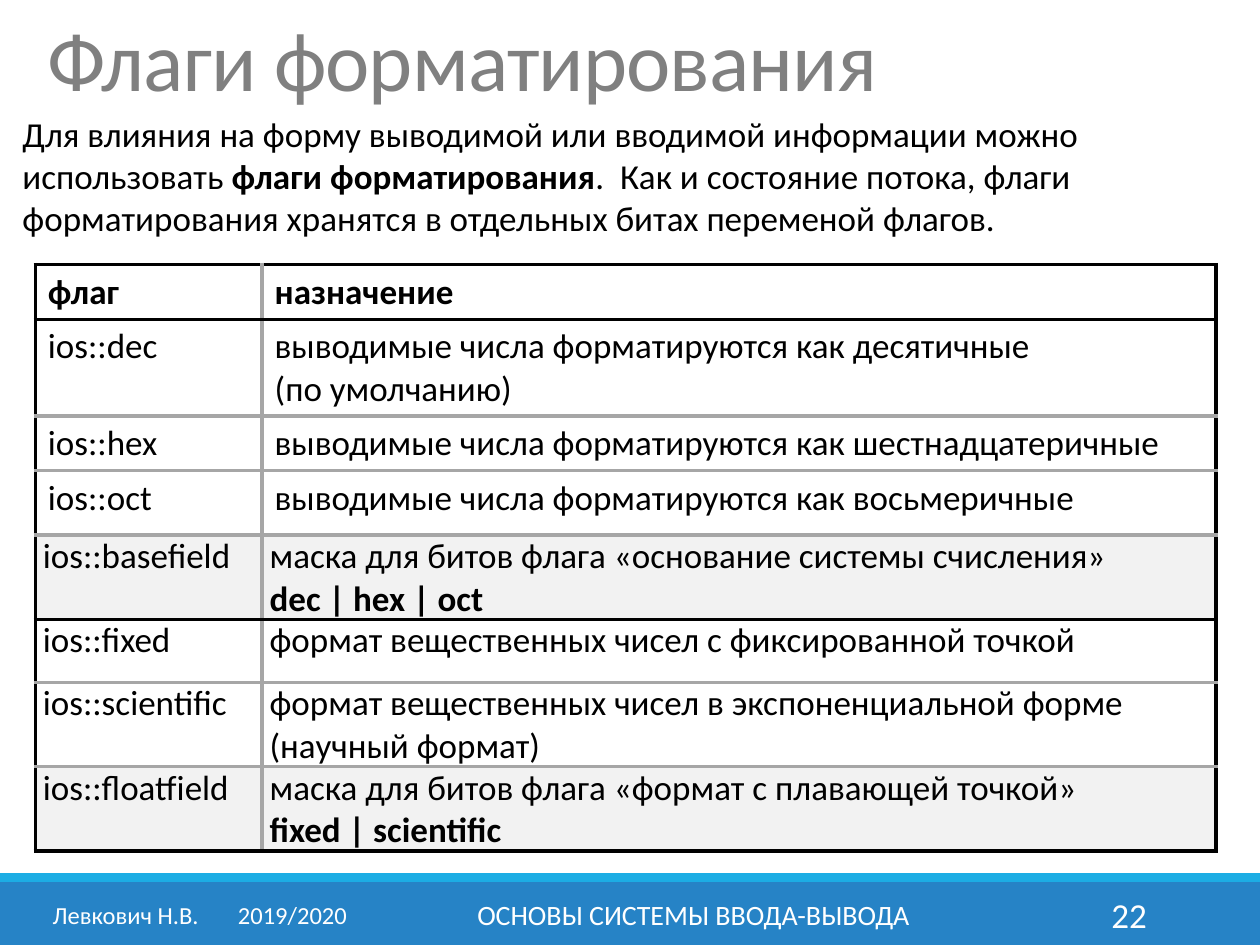
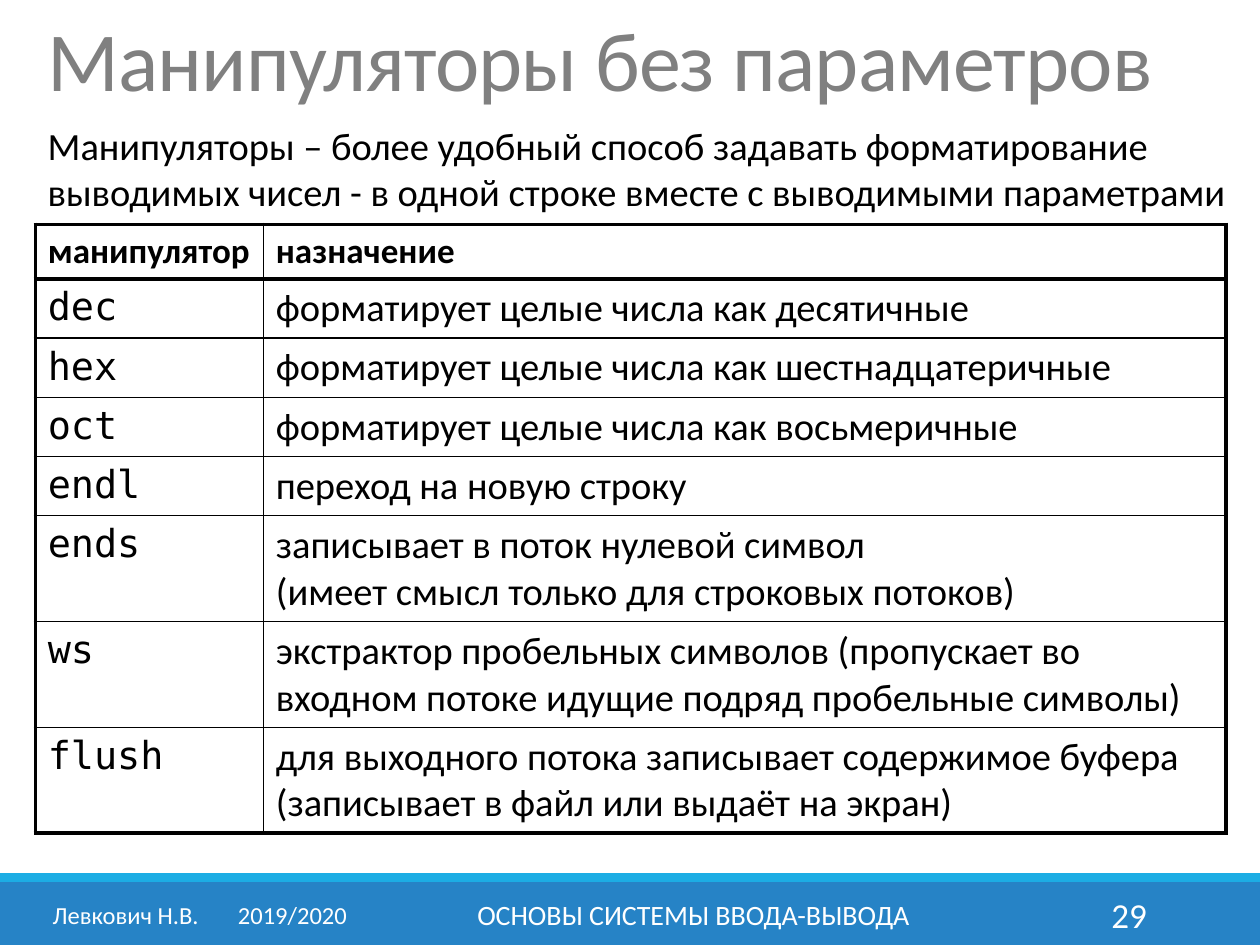
import pptx
import pptx.util
import pptx.dml.color
import pptx.enum.shapes
import pptx.enum.text
import pptx.oxml
import pptx.oxml.ns
from lxml import etree

Inches, Pt = pptx.util.Inches, pptx.util.Pt
RGBColor = pptx.dml.color.RGBColor
ALIGN = pptx.enum.text.PP_ALIGN
ANCHOR = pptx.enum.text.MSO_ANCHOR

BLACK = RGBColor(0x00, 0x00, 0x00)
WHITE = RGBColor(0xFF, 0xFF, 0xFF)
TITLE_GREY = RGBColor(0x80, 0x80, 0x80)
RULE_GREY = RGBColor(0xA6, 0xA6, 0xA6)
MASK_GREY = RGBColor(0xF2, 0xF2, 0xF2)
BAND_BLUE = RGBColor(0x26, 0x83, 0xC6)
STRIPE_BLUE = RGBColor(0x1C, 0xAD, 0xE4)

SANS, MONO = "Calibri", "DejaVu Sans Mono"
WIDTH, HEIGHT = 10, 7.5
BAND_HEIGHT, STRIPE_HEIGHT = 0.5, 0.07
FOOTER_TOP, FOOTER_HEIGHT = 7.06, 0.4
HEAVY = (BLACK, 2.25)
ROOMY, TIGHT = (0.1, 0.05), (0.06, 0)

AUTHOR = "Левкович Н.В.\t2019/2020"
COURSE = "ОСНОВЫ СИСТЕМЫ ВВОДА-ВЫВОДА"

FLAGS = {
    "title": "Флаги форматирования", "title_box": (0.28, 0.13, 8.05, 0.79),
    "number": "22",
    "intro": "Для влияния на форму выводимой или вводимой информации можно "
             "использовать *флаги форматирования*.  Как и состояние потока, "
             "флаги форматирования хранятся в отдельных битах переменой флагов.",
    "intro_box": (0.08, 0.84, 9.65, 1.11), "intro_size": 20,
    "corner": (0.28, 2.1), "columns": (1.8, 7.57),
    "rows": [
        ("*флаг*", "*назначение*", 0.43),
        ("ios::dec", "выводимые числа форматируются как десятичные\n(по умолчанию)", 0.76),
        ("ios::hex", "выводимые числа форматируются как шестнадцатеричные", 0.43),
        ("ios::oct", "выводимые числа форматируются как восьмеричные", 0.51),
        ("ios::basefield", "маска для битов флага «основание системы счисления»\n"
                           "*dec | hex | oct*", 0.67),
        ("ios::fixed", "формат вещественных чисел с фиксированной точкой", 0.5),
        ("ios::scientific", "формат вещественных чисел в экспоненциальной форме "
                            "(научный формат)", 0.67),
        ("ios::floatfield", "маска для битов флага «формат с плавающей точкой»\n"
                            "*fixed | scientific*", 0.67),
    ],
    "size": 20, "term_font": SANS, "term_align": ALIGN.LEFT,
    "inner_rule": (RULE_GREY, 2.25), "heavy_below": {0, 4, 7},
    "shaded": {4, 7}, "tight_from": 4,
}
MANIPULATORS = {
    "title": "Манипуляторы без параметров", "title_box": (0.28, 0.13, 9.09, 0.87),
    "number": "29",
    "intro": "Манипуляторы – более удобный способ задавать форматирование "
             "выводимых чисел - в одной строке вместе с выводимыми параметрами",
    "intro_box": (0.28, 0.92, 9.61, 0.84), "intro_size": 22,
    "corner": (0.28, 1.78), "columns": (1.81, 7.64),
    "rows": [
        ("*манипулятор*", "*назначение*", 0.43),
        ("dec", "форматирует целые числа как десятичные", 0.47),
        ("hex", "форматирует целые числа как шестнадцатеричные", 0.47),
        ("oct", "форматирует целые числа как восьмеричные", 0.47),
        ("endl", "переход на новую строку", 0.47),
        ("ends", "записывает в поток нулевой символ\n"
                 "(имеет смысл только для строковых потоков)", 0.84),
        ("ws", "экстрактор пробельных символов (пропускает во входном потоке "
               "идущие подряд пробельные символы)", 0.84),
        ("flush", "для выходного потока записывает содержимое буфера "
                  "(записывает в файл или выдаёт на экран)", 0.84),
    ],
    "size": 22, "term_font": MONO, "term_align": ALIGN.JUSTIFY,
    "inner_rule": (BLACK, 1), "heavy_below": {0, 7},
    "shaded": set(), "tight_from": 8,
}


def apply(target, formats):
    for key, value in formats.items():
        setattr(target, key, value)


def write(paragraph, text, size, color=BLACK, font=SANS, spacing=None):
    for index, part in enumerate(text.split("*")):
        for line_index, line in enumerate(part.split("\n")):
            if line_index:
                paragraph.add_line_break()
            if not line:
                continue
            run = paragraph.add_run()
            run.text = line
            apply(run.font, {"size": Pt(size), "name": font, "bold": index % 2 == 1})
            run.font.color.rgb = color
            if spacing:
                run.font._element.set("spc", str(spacing))


def add_text(slide, box, text, size, color=BLACK, align=ALIGN.LEFT,
             anchor=ANCHOR.TOP, spacing=None):
    frame = slide.shapes.add_textbox(*map(Inches, box)).text_frame
    apply(frame, {"word_wrap": True, "vertical_anchor": anchor})
    paragraph = frame.paragraphs[0]
    paragraph.alignment = align
    write(paragraph, text, size, color, spacing=spacing)
    return paragraph


def add_band(slide, top, height, color):
    band = slide.shapes.add_shape(pptx.enum.shapes.MSO_SHAPE.RECTANGLE,
                                  *map(Inches, (0, top, WIDTH, height)))
    band.shadow.inherit = False
    band.fill.solid()
    band.fill.fore_color.rgb = color
    band.line.fill.background()


def add_footer(slide, number):
    band_top = HEIGHT - BAND_HEIGHT
    add_band(slide, band_top, BAND_HEIGHT, BAND_BLUE)
    add_band(slide, band_top - STRIPE_HEIGHT, STRIPE_HEIGHT, STRIPE_BLUE)
    parts = [(0.32, 2.61, AUTHOR, 14, ALIGN.LEFT),
             (3.02, 4.97, COURSE, 16, ALIGN.CENTER),
             (8.12, 1.08, number, 20, ALIGN.RIGHT)]
    for left, width, text, size, align in parts:
        paragraph = add_text(slide, (left, FOOTER_TOP, width, FOOTER_HEIGHT), text,
                             size, WHITE, align, ANCHOR.MIDDLE)
        if "\t" in text:
            stops = etree.SubElement(paragraph._p.get_or_add_pPr(),
                                     pptx.oxml.ns.qn("a:tabLst"))
            etree.SubElement(stops, pptx.oxml.ns.qn("a:tab"),
                             pos=str(Inches(1.47)), algn="l")


def set_borders(cell, rules):
    properties = cell._tc.get_or_add_tcPr()
    for index, (side, (color, width)) in enumerate(rules.items()):
        properties.insert(index, pptx.oxml.parse_xml(
            f'<a:ln{side} {pptx.oxml.ns.nsdecls("a")} w="{Pt(width)}">'
            f'<a:solidFill><a:srgbClr val="{color}"/></a:solidFill></a:ln{side}>'))


def add_glossary(slide, topic):
    rows, columns = topic["rows"], topic["columns"]
    heights = [row[2] for row in rows]
    glossary = slide.shapes.add_table(
        len(rows), len(columns),
        *map(Inches, (*topic["corner"], sum(columns), sum(heights)))).table
    apply(glossary, {"first_row": False, "horz_banding": False})
    for column, width in zip(glossary.columns, columns):
        column.width = Inches(width)
    for r, (*texts, height) in enumerate(rows):
        glossary.rows[r].height = Inches(height)
        side, edge = TIGHT if r >= topic["tight_from"] else ROOMY
        for c, text in enumerate(texts):
            cell = glossary.cell(r, c)
            apply(cell, {"margin_left": Inches(side), "margin_right": Inches(side),
                         "margin_top": Inches(edge), "margin_bottom": Inches(edge)})
            if r in topic["shaded"]:
                cell.fill.solid()
                cell.fill.fore_color.rgb = MASK_GREY
            else:
                cell.fill.background()
            heavy = {"L": c == 0, "R": c == len(columns) - 1,
                     "T": r == 0 or r - 1 in topic["heavy_below"],
                     "B": r in topic["heavy_below"]}
            set_borders(cell, {name: HEAVY if is_heavy else topic["inner_rule"]
                               for name, is_heavy in heavy.items()})
            paragraph = cell.text_frame.paragraphs[0]
            paragraph.alignment = topic["term_align"] if r == 0 or c == 0 else ALIGN.LEFT
            write(paragraph, text, 20 if r == 0 else topic["size"],
                  font=topic["term_font"] if r and c == 0 else SANS)


deck = pptx.Presentation()
apply(deck, {"slide_width": Inches(WIDTH), "slide_height": Inches(HEIGHT)})
for topic in (FLAGS, MANIPULATORS):
    slide = deck.slides.add_slide(deck.slide_layouts[6])
    add_footer(slide, topic["number"])
    title = add_text(slide, topic["title_box"], topic["title"], 48, TITLE_GREY, spacing=-50)
    title.line_spacing = 0.85
    add_text(slide, topic["intro_box"], topic["intro"], topic["intro_size"])
    add_glossary(slide, topic)
deck.save("out.pptx")
